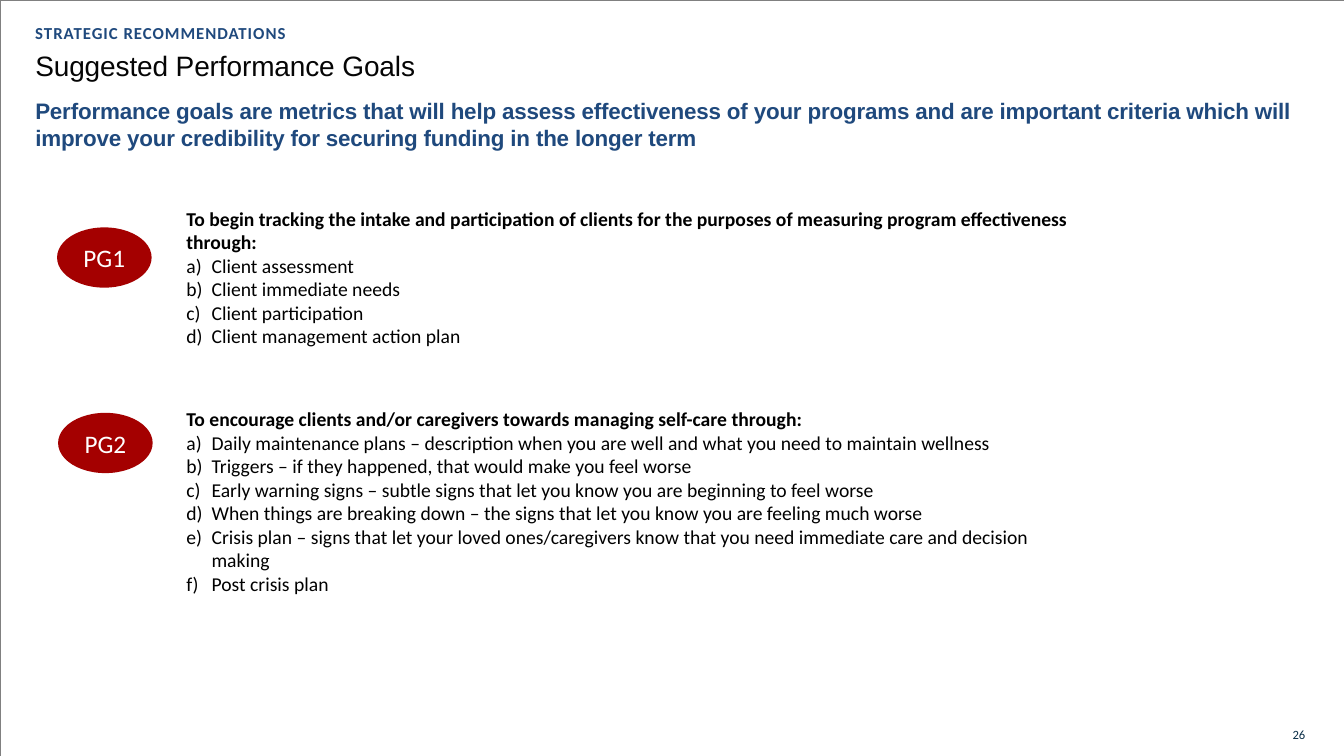
import dataclasses
import typing

import pptx
import pptx.dml.color
import pptx.enum.shapes
import pptx.enum.text
import pptx.oxml.ns
import pptx.util
from lxml import etree

Inches = pptx.util.Inches
Pt = pptx.util.Pt
Align = pptx.enum.text.PP_ALIGN
Anchor = pptx.enum.text.MSO_ANCHOR
Preset = pptx.enum.shapes.MSO_SHAPE

NAVY, RED, BLACK, WHITE = "1F497D", "A40000", "000000", "FFFFFF"
SLIDE_WIDTH, SLIDE_HEIGHT = 13.33, 7.5


@dataclasses.dataclass(frozen=True)
class TextStyle:
    size: float
    color: str
    name: str = "Calibri"
    bold: bool = False
    tracking: int = 0  # hundredths of a point


@dataclasses.dataclass(frozen=True)
class Box:
    left: float
    top: float
    width: float
    height: float

    def lengths(self) -> tuple:
        return tuple(Inches(value) for value in dataclasses.astuple(self))


@dataclasses.dataclass(frozen=True)
class Heading:
    text: str
    box: Box
    style: TextStyle
    space_before: float


@dataclasses.dataclass(frozen=True)
class Goal:
    label: str
    badge: Box
    body: Box
    lead: str
    steps: tuple[str, ...]


TITLE = Heading("Suggested Performance Goals", Box(0.34, 0.47, 7.24, 0.35),
                TextStyle(20, "050505", "Arial", tracking=-10), 1.1)
HEADINGS = (
    Heading("STRATEGIC RECOMMENDATIONS", Box(0.34, 0.22, 3.06, 0.22),
            TextStyle(12, NAVY, bold=True, tracking=70), 1),
    Heading("Performance goals are metrics that will help assess effectiveness of your "
            "programs and are important criteria which will improve your credibility for "
            "securing funding in the longer term", Box(0.34, 0.95, 12.58, 0.55),
            TextStyle(16, NAVY, "Arial", True, -10), 0.9),
)
GOALS = (
    Goal("PG1", Box(0.58, 2.27, 0.91, 0.57), Box(1.75, 2, 9.02, 1.51),
         "To begin tracking the intake and participation of clients for the purposes of "
         "measuring program effectiveness through:",
         ("Client assessment", "Client immediate needs", "Client participation",
          "Client management action plan")),
    Goal("PG2", Box(0.59, 4.11, 0.91, 0.57), Box(1.75, 3.99, 9.02, 1.99),
         "To encourage clients and/or caregivers towards managing self-care through:",
         ("Daily maintenance plans – description when you are well and what you need to "
          "maintain wellness",
          "Triggers – if they happened, that would make you feel worse",
          "Early warning signs – subtle signs that let you know you are beginning to feel worse",
          "When things are breaking down – the signs that let you know you are feeling much worse",
          "Crisis plan – signs that let your loved ones/caregivers know that you need "
          "immediate care and decision making",
          "Post crisis plan")),
)


def rgb(color: str) -> pptx.dml.color.RGBColor:
    return pptx.dml.color.RGBColor.from_string(color)


def apply_format(target: typing.Any, values: dict[str, typing.Any]) -> None:
    for name, value in values.items():
        setattr(target, name, value)


def write(paragraph: typing.Any, text: str, style: TextStyle) -> None:
    run = paragraph.add_run()
    run.text = text
    apply_format(run.font, {"size": Pt(style.size), "name": style.name, "bold": style.bold})
    run.font.color.rgb = rgb(style.color)
    if style.tracking:
        run.font._element.set("spc", str(style.tracking))


def indent(paragraph: typing.Any, left: float, first: float = 0) -> typing.Any:
    properties = paragraph._p.get_or_add_pPr()
    properties.set("marL", str(Inches(left)))
    properties.set("indent", str(Inches(first)))
    return properties


def fill_heading(shape: typing.Any, heading: Heading) -> None:
    apply_format(shape, dict(zip(("left", "top", "width", "height"), heading.box.lengths())))
    apply_format(shape.text_frame, {
        "word_wrap": True, "auto_size": pptx.enum.text.MSO_AUTO_SIZE.NONE,
        "vertical_anchor": Anchor.TOP, "margin_left": 0, "margin_right": 0,
        "margin_top": Inches(0.01), "margin_bottom": 0})
    paragraph = shape.text_frame.paragraphs[0]
    apply_format(paragraph, {"alignment": Align.LEFT, "space_before": Pt(heading.space_before)})
    indent(paragraph, 0.01)
    write(paragraph, heading.text, heading.style)


def add_frame(slide: typing.Any) -> None:
    frame = slide.shapes.add_shape(
        Preset.RECTANGLE, *Box(0, 0, SLIDE_WIDTH, SLIDE_HEIGHT).lengths())
    frame.shadow.inherit = False
    frame.fill.background()
    frame.line.color.rgb = rgb("808080")
    frame.line.width = Pt(0.48)


def add_badge(slide: typing.Any, goal: Goal) -> None:
    badge = slide.shapes.add_shape(Preset.OVAL, *goal.badge.lengths())
    badge.shadow.inherit = False
    badge.fill.solid()
    badge.fill.fore_color.rgb = rgb(RED)
    badge.line.color.rgb = rgb(RED)
    badge.line.width = Pt(2)
    apply_format(badge.text_frame, {"word_wrap": False, "vertical_anchor": Anchor.MIDDLE})
    paragraph = badge.text_frame.paragraphs[0]
    paragraph.alignment = Align.CENTER
    write(paragraph, goal.label, TextStyle(18, WHITE))


def add_goal_text(slide: typing.Any, goal: Goal) -> None:
    frame = slide.shapes.add_textbox(*goal.body.lengths()).text_frame
    frame.word_wrap = True
    write(frame.paragraphs[0], goal.lead, TextStyle(14, BLACK, bold=True))
    for step in goal.steps:
        paragraph = frame.add_paragraph()
        properties = indent(paragraph, 0.25, -0.25)
        numbering = etree.SubElement(properties, pptx.oxml.ns.qn("a:buAutoNum"))
        numbering.set("type", "alphaLcParenR")
        write(paragraph, step, TextStyle(14, BLACK))


def add_page_number(slide: typing.Any) -> None:
    frame = slide.shapes.add_textbox(*Box(12.73, 7.23, 0.27, 0.1).lengths()).text_frame
    apply_format(frame, {"word_wrap": True, "margin_left": 0, "margin_right": 0,
                         "margin_top": 0, "margin_bottom": 0})
    paragraph = frame.paragraphs[0]
    paragraph.line_spacing = Pt(9.6)
    indent(paragraph, 0.09)
    write(paragraph, "26", TextStyle(9, "0A2E47"))


def main() -> None:
    presentation = pptx.Presentation()
    presentation.slide_width = Inches(SLIDE_WIDTH)
    presentation.slide_height = Inches(SLIDE_HEIGHT)
    slide = presentation.slides.add_slide(presentation.slide_layouts.get_by_name("Title Only"))

    # Frame and headings
    add_frame(slide)
    fill_heading(slide.shapes.title, TITLE)
    for heading in HEADINGS:
        fill_heading(slide.shapes.add_textbox(*heading.box.lengths()), heading)

    # Performance goals
    for goal in GOALS:
        add_badge(slide, goal)
        add_goal_text(slide, goal)

    # Page number
    add_page_number(slide)
    presentation.save("out.pptx")


if __name__ == "__main__":
    main()
